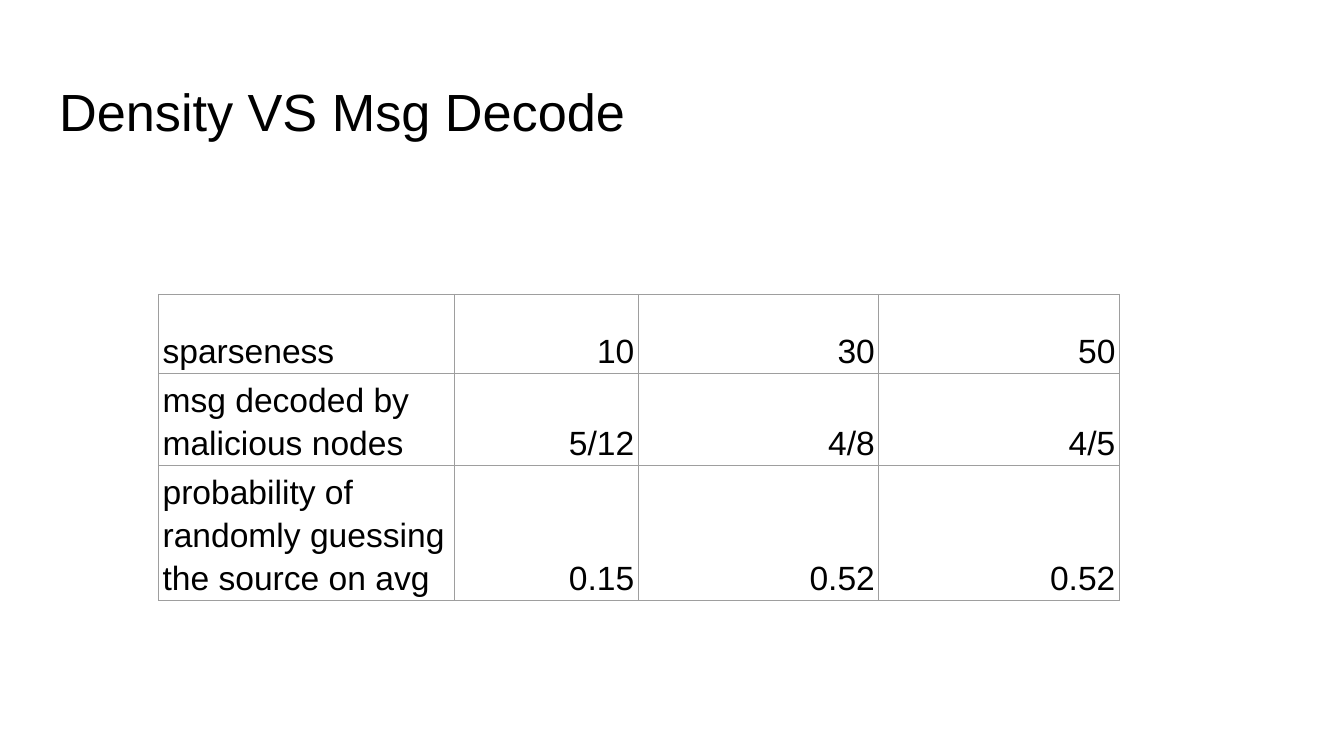
from lxml import etree
from pptx import Presentation
from pptx.dml.color import RGBColor
from pptx.enum.text import MSO_ANCHOR, PP_ALIGN
from pptx.oxml.ns import qn
from pptx.util import Inches, Pt

LEFT, RIGHT = PP_ALIGN.LEFT, PP_ALIGN.RIGHT
TOP, BOTTOM = MSO_ANCHOR.TOP, MSO_ANCHOR.BOTTOM
COLORS = {"text": "000000", "border": "9E9E9E", "background": "FFFFFF"}
FONT = "Arial"


def write_text(text_frame, text, size, align=LEFT, line_spacing=1.0):
    paragraph = text_frame.paragraphs[0]
    paragraph.alignment = align
    paragraph.line_spacing = line_spacing
    run = paragraph.add_run()
    run.text = text
    run.font.name = FONT
    run.font.size = Pt(size)
    run.font.color.rgb = RGBColor.from_string(COLORS["text"])


def add_borders(cell, color, width):
    properties = cell._tc.get_or_add_tcPr()
    for side in ("a:lnL", "a:lnR", "a:lnT", "a:lnB"):
        line = etree.SubElement(properties, qn(side), w=str(Pt(width)))
        fill = etree.SubElement(line, qn("a:solidFill"))
        etree.SubElement(fill, qn("a:srgbClr"), val=color)


presentation = Presentation()
presentation.slide_width = Inches(10)
presentation.slide_height = Inches(10 * 9 / 16)
slide = presentation.slides.add_slide(presentation.slide_layouts[5])
slide.background.fill.solid()
slide.background.fill.fore_color.rgb = RGBColor.from_string(COLORS["background"])

title = slide.shapes.title
title.left, title.top = Inches(0.34), Inches(0.49)
title.width, title.height = Inches(9.32), Inches(0.63)
title_frame = title.text_frame
title_frame.margin_left = title_frame.margin_right = Inches(0.1)
title_frame.margin_top = title_frame.margin_bottom = Inches(0.1)
title_frame.vertical_anchor = TOP
write_text(title_frame, "Density VS Msg Decode", size=28)

rows = [
    ("sparseness", "10", "30", "50"),
    ("msg decoded by malicious nodes", "5/12", "4/8", "4/5"),
    ("probability of randomly guessing the source on avg", "0.15", "0.52", "0.52"),
]
column_widths = [2.2, 1.37, 1.79, 1.79]
row_heights = [0.59, 0.59, 0.85]

table = slide.shapes.add_table(
    len(rows), len(column_widths), Inches(1.18), Inches(2.19),
    Inches(sum(column_widths)), Inches(sum(row_heights)),
).table
table.first_row = False
table.horz_banding = False
for column, width in zip(table.columns, column_widths):
    column.width = Inches(width)

for row, height, texts in zip(table.rows, row_heights, rows):
    row.height = Inches(height)
    for index, (cell, text) in enumerate(zip(row.cells, texts)):
        cell.margin_left = cell.margin_right = Inches(0.03)
        cell.margin_top = cell.margin_bottom = Inches(0.02)
        cell.vertical_anchor = BOTTOM
        add_borders(cell, COLORS["border"], 0.75)
        cell.fill.background()
        align = RIGHT if index else LEFT
        write_text(cell.text_frame, text, size=18, align=align, line_spacing=1.15)

presentation.save("out.pptx")
